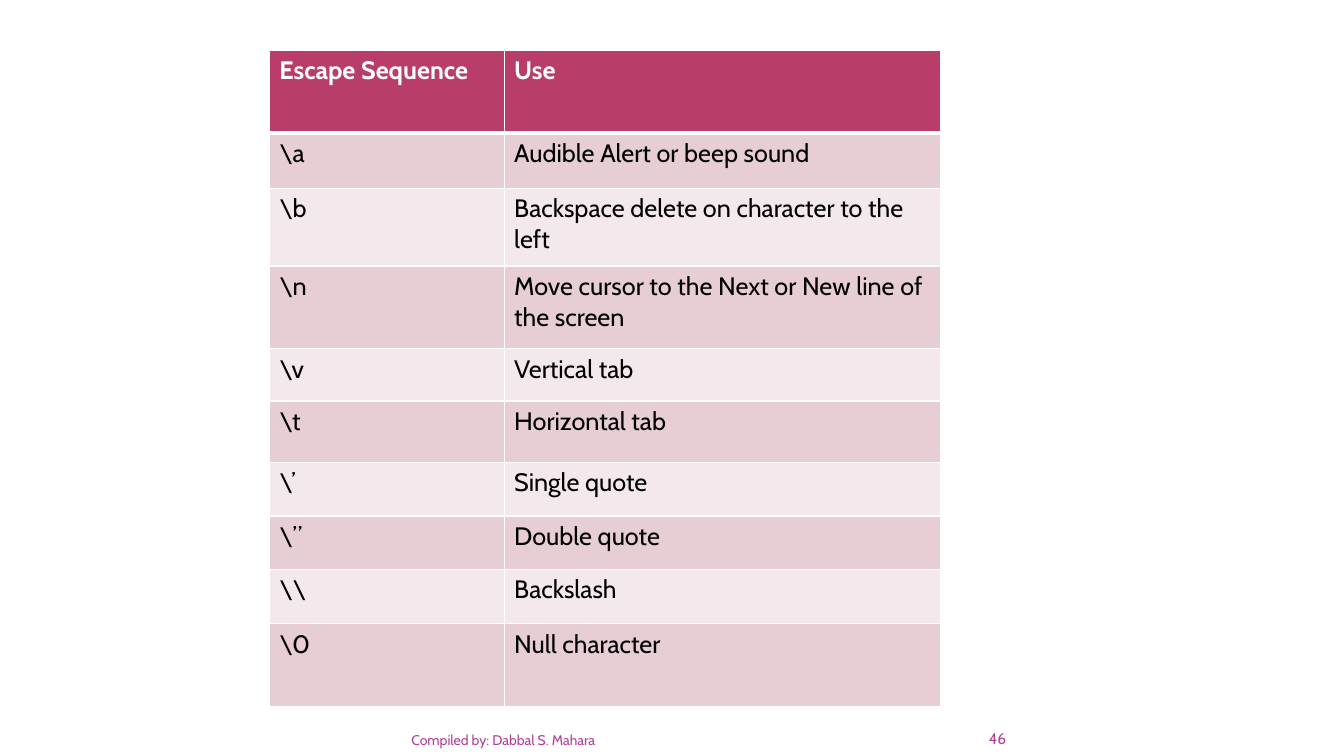
import pptx
import pptx.util
import pptx.dml.color
import pptx.enum.text
import lxml.etree
import pptx.oxml.ns

Inches, Pt = pptx.util.Inches, pptx.util.Pt
qn = pptx.oxml.ns.qn


def style(font, size, color, bold=False):
    font.name, font.size, font.bold = "Cabin", Pt(size), bold
    font.color.rgb = pptx.dml.color.RGBColor.from_string(color)


def border(cell, side, width):
    """Draw a white line, width in points, on side L, R, T or B."""
    line = lxml.etree.SubElement(
        cell._tc.get_or_add_tcPr(), qn("a:ln" + side), w=str(Pt(width)))
    fill = lxml.etree.SubElement(line, qn("a:solidFill"))
    lxml.etree.SubElement(fill, qn("a:srgbClr"), val="FFFFFF")


deck = pptx.Presentation()
deck.slide_width, deck.slide_height = Inches(13.33), Inches(7.5)
slide = deck.slides.add_slide(deck.slide_layouts[6])

rows = [
    ("Escape Sequence", "Use", 0.82),
    (r"\a", "Audible Alert or beep sound", 0.55),
    (r"\b", "Backspace delete on character to the left", 0.77),
    (r"\n", "Move cursor to the Next or New line of the screen", 0.82),
    (r"\v", "Vertical tab", 0.52),
    (r"\t", "Horizontal tab", 0.61),
    (r"\’", "Single quote", 0.53),
    (r"\”", "Double quote", 0.53),
    (r"\\", "Backslash", 0.54),
    (r"\0", "Null character", 0.82),
]
table = slide.shapes.add_table(
    len(rows), 2, Inches(2.67), Inches(0.5), Inches(6.67), Inches(6.5)).table
for column, width in zip(table.columns, (2.33, 4.33)):
    column.width = Inches(width)

for r, (code, use, height) in enumerate(rows):
    table.rows[r].height = Inches(height)
    head = r == 0
    shade = "B83D68" if head else "E6CED4" if r % 2 else "F3E8EB"
    for cell, text in zip(table.rows[r].cells, (code, use)):
        cell.text = text
        style(cell.text_frame.paragraphs[0].font, 18,
              "FFFFFF" if head else "000000", head)
        for side in "LRTB":
            heavy = (r, side) in ((0, "B"), (1, "T"))
            border(cell, side, 3 if heavy else 1)
        cell.fill.solid()
        cell.fill.fore_color.rgb = pptx.dml.color.RGBColor.from_string(shade)

for text, left, width, inset, size in (
        ("46", 9.12, 0.86, 0, 11),
        ("Compiled by: Dabbal S. Mahara", 0.67, 5.33, 0.1, 10)):
    box = slide.shapes.add_textbox(
        Inches(left), Inches(7.17), Inches(width), Inches(0.25))
    frame = box.text_frame
    frame.word_wrap = True
    frame.vertical_anchor = pptx.enum.text.MSO_ANCHOR.BOTTOM
    frame.margin_left = frame.margin_right = Inches(inset)
    frame.margin_top = frame.margin_bottom = 0
    frame.text = text
    footer = frame.paragraphs[0]
    footer.alignment = pptx.enum.text.PP_ALIGN.RIGHT
    style(footer.font, size, "B13F9A")

deck.save("out.pptx")
